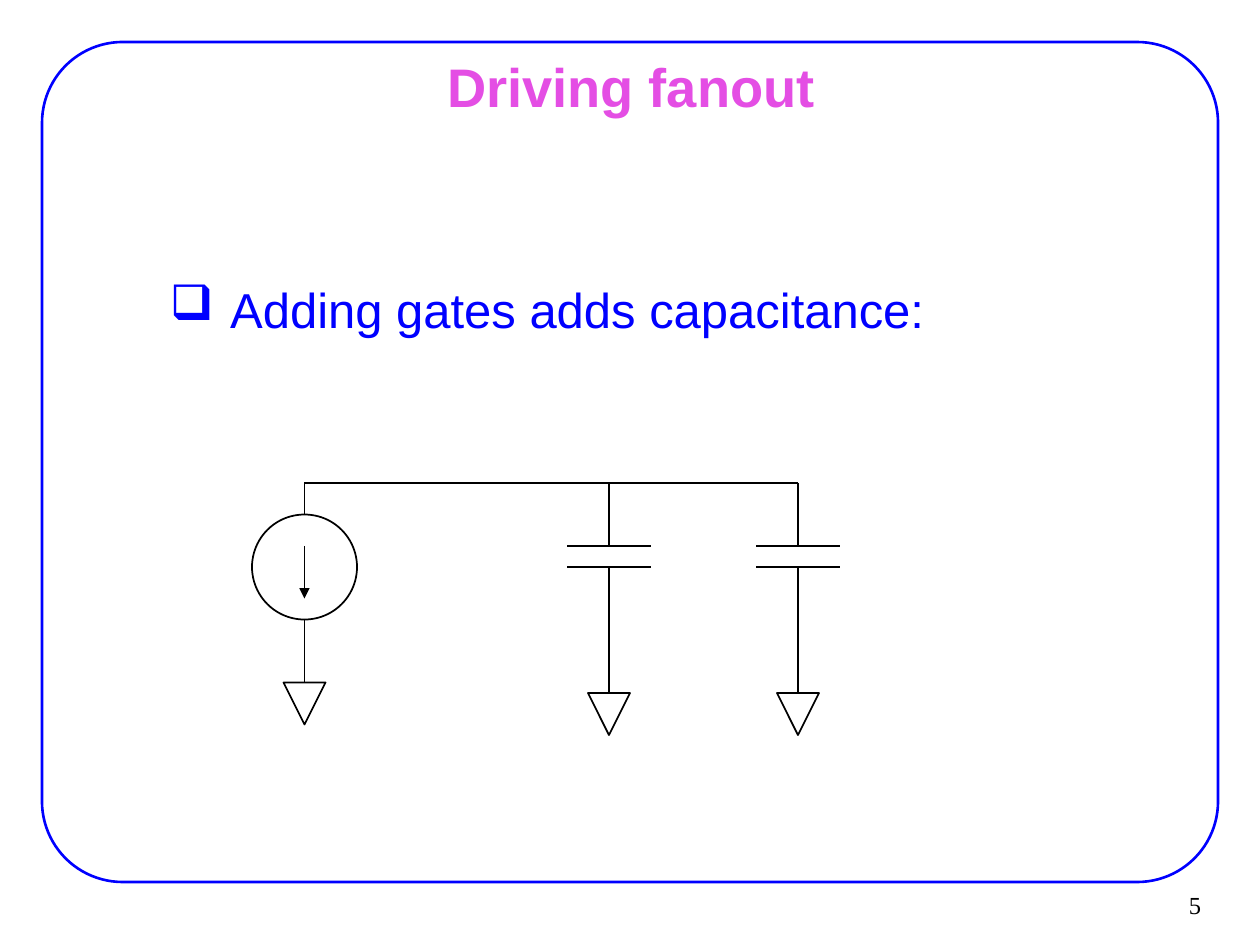
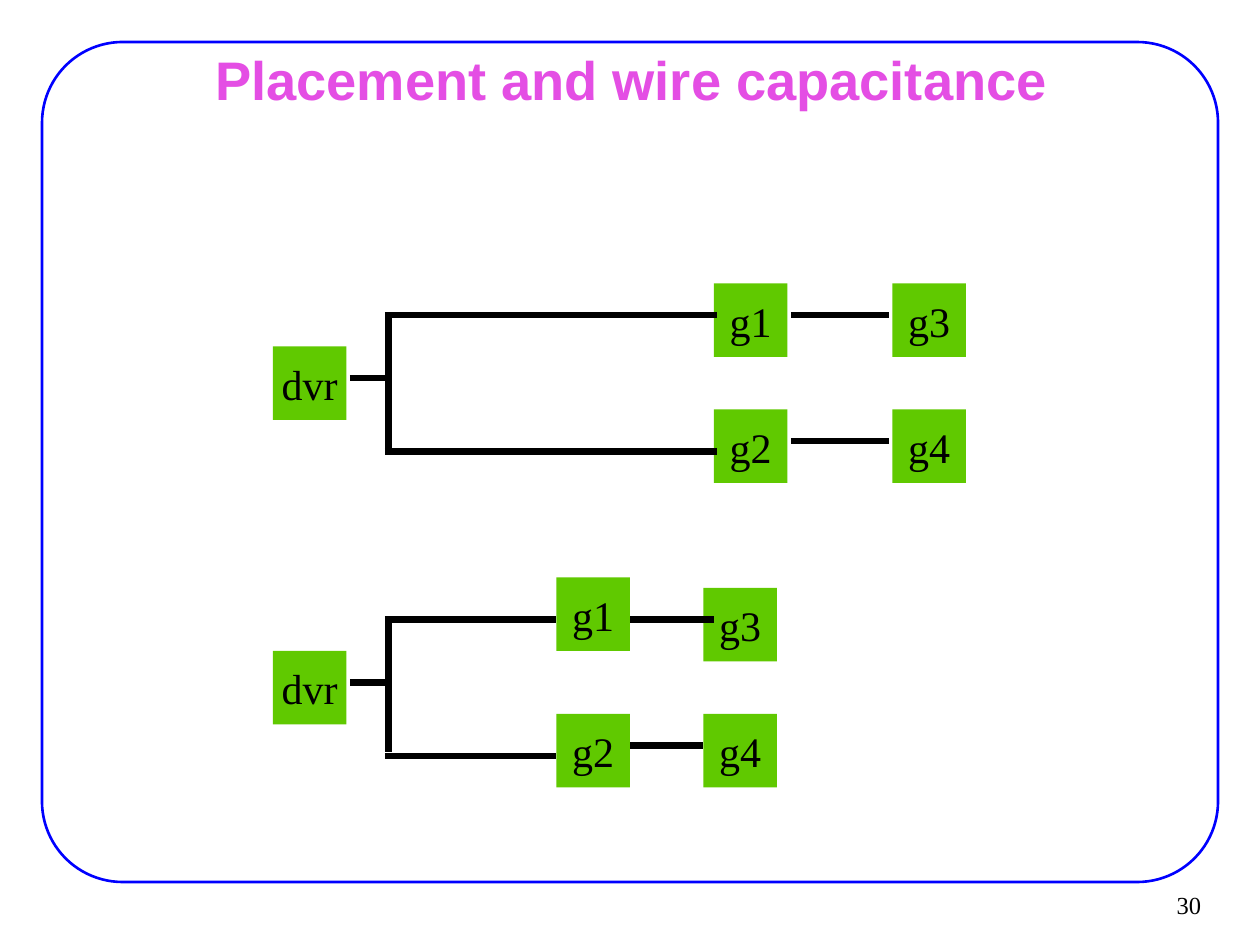
from lxml import etree
from pptx import Presentation
from pptx import util as u
from pptx.dml.color import RGBColor
from pptx.enum import shapes, text
from pptx.oxml import ns

COLORS = {
    "frame": "0000FF",
    "title": "E44EE4",
    "bullet": "0000FF",
    "ink": "000000",
    "paper": "FFFFFF",
    "gate": "60C900",
}
SANS, SERIF = "Arial", "Times New Roman"
SHAPE = shapes.MSO_SHAPE
ANCHOR = text.MSO_ANCHOR
ALIGN = text.PP_ALIGN
GATE_SIZE = 42


def color(name):
    return RGBColor.from_string(COLORS[name])


class Deck:
    """Holds the shared style and the slide being drawn; lengths are points."""

    def __init__(self):
        self.prs = Presentation()
        self.prs.slide_width, self.prs.slide_height = u.Pt(720), u.Pt(540)
        self.slide = None

    def new_slide(self, title, number, title_anchor):
        self.slide = self.prs.slides.add_slide(self.prs.slide_layouts[6])
        frame = self.shape(SHAPE.ROUNDED_RECTANGLE, 24, 24, 672, 480,
                           line="frame", line_width=1.5)
        frame.adjustments[0] = 0.096
        self.text_box(number, 649.5, 503.5, 44, 26.5, SERIF, 14, "ink",
                      ALIGN.RIGHT, ANCHOR.MIDDLE)
        self.text_box(title, 54.5, 31.5, 612, 35.5, SANS, 31, "title",
                      ALIGN.CENTER, title_anchor, bold=True)

    def shape(self, kind, left, top, width, height, fill=None, line=None, line_width=1):
        item = self.slide.shapes.add_shape(
            kind, u.Pt(left), u.Pt(top), u.Pt(width), u.Pt(height))
        item.shadow.inherit = False
        if fill:
            item.fill.solid()
            item.fill.fore_color.rgb = color(fill)
        else:
            item.fill.background()
        if line:
            item.line.color.rgb = color(line)
            item.line.width = u.Pt(line_width)
        else:
            item.line.fill.background()
        return item

    def add_words(self, frame, words, font, size, ink, align, anchor, bold=False):
        frame.vertical_anchor = anchor
        paragraph = frame.paragraphs[0]
        paragraph.alignment = align
        run = paragraph.add_run()
        run.text = words
        run.font.name, run.font.size, run.font.bold = font, u.Pt(size), bold
        run.font.color.rgb = color(ink)
        return paragraph

    def text_box(self, words, left, top, width, height, *style, bold=False):
        box = self.slide.shapes.add_textbox(
            u.Pt(left), u.Pt(top), u.Pt(width), u.Pt(height))
        box.text_frame.word_wrap = True
        return self.add_words(box.text_frame, words, *style, bold=bold)

    def bullet(self, words, left, top, width, height):
        paragraph = self.text_box(words, left, top, width, height, SANS, 28,
                                  "bullet", ALIGN.LEFT, ANCHOR.TOP)
        paragraph.space_before = u.Pt(5.6)
        props = paragraph._p.get_or_add_pPr()
        props.set("marL", str(u.Pt(70.5)))
        props.set("indent", str(u.Pt(-34.5)))
        etree.SubElement(props, ns.qn("a:buChar"), char="❑")

    def line(self, x1, y1, x2, y2, width=1, arrow=False):
        wire = self.slide.shapes.add_connector(
            shapes.MSO_CONNECTOR.STRAIGHT, u.Pt(x1), u.Pt(y1), u.Pt(x2), u.Pt(y2))
        wire.line.color.rgb = color("ink")
        wire.line.width = u.Pt(width)
        props = wire._element.spPr
        if arrow:
            etree.SubElement(props.find(ns.qn("a:ln")), ns.qn("a:tailEnd"),
                             type="triangle")
        etree.SubElement(props, ns.qn("a:effectLst"))

    def ground(self, x, top):
        self.shape(SHAPE.FLOWCHART_MERGE, x - 12, top, 24, 24, "paper", "ink")

    def current_source(self, x, rail):
        self.shape(SHAPE.OVAL, x - 30, rail + 18, 60, 60, "paper", "ink")
        self.line(x, rail + 36, x, rail + 66, arrow=True)
        self.line(x, rail, x, rail + 18)
        self.line(x, rail + 78, x, rail + 114)
        self.ground(x, rail + 114)

    def capacitor(self, x, rail):
        upper, lower, bottom = rail + 36, rail + 48, rail + 120
        self.line(x, rail, x, upper)
        for plate in (upper, lower):
            self.line(x - 24, plate, x + 24, plate)
        self.line(x, lower, x, bottom)
        self.ground(x, bottom)

    def gate(self, name, left, top):
        block = self.shape(SHAPE.RECTANGLE, left, top, GATE_SIZE, GATE_SIZE, "gate")
        block.text_frame.word_wrap = False
        self.add_words(block.text_frame, name, SERIF, 24, "ink",
                       ALIGN.CENTER, ANCHOR.MIDDLE)

    def placement(self, gates, upper, branch_end, links):
        """Draw gates, the driver's fork from height upper, and gate links."""
        for name, (left, top) in gates.items():
            self.gate(name, left, top)
        lower = upper + 78
        self.line(200, upper + 36, 220, upper + 36, 4)
        for level in (upper, lower):
            self.line(220, level, branch_end, level, 4)
        self.line(222, upper + 2, 222, lower - 2, 4)
        for start, end, level in links:
            self.line(start, level, end, level, 4)


def draw_fanout(deck):
    deck.new_slide("Driving fanout", "5", ANCHOR.MIDDLE)
    deck.bullet("Adding gates adds capacitance:", 54, 156, 612.5, 72)
    rail, source, loads = 276, 174, (348, 456)
    deck.current_source(source, rail)
    for load in loads:
        deck.capacitor(load, rail)
    for start, end in zip((source, *loads), loads):
        deck.line(start, rail, end, rail)


def draw_placement(deck):
    deck.new_slide("Placement and wire capacitance", "30", ANCHOR.BOTTOM)
    far = {"dvr": (156, 198), "g1": (408, 162), "g2": (408, 234),
           "g3": (510, 162), "g4": (510, 234)}
    near = {"dvr": (156, 372), "g1": (318, 330), "g2": (318, 408),
            "g3": (402, 336), "g4": (402, 408)}
    deck.placement(far, 180, 410, [(452, 508, 180), (452, 508, 252)])
    deck.placement(near, 354, 318, [(360, 408, 354), (360, 402, 426)])


def main():
    deck = Deck()
    draw_fanout(deck)
    draw_placement(deck)
    deck.prs.save("out.pptx")


if __name__ == "__main__":
    main()
